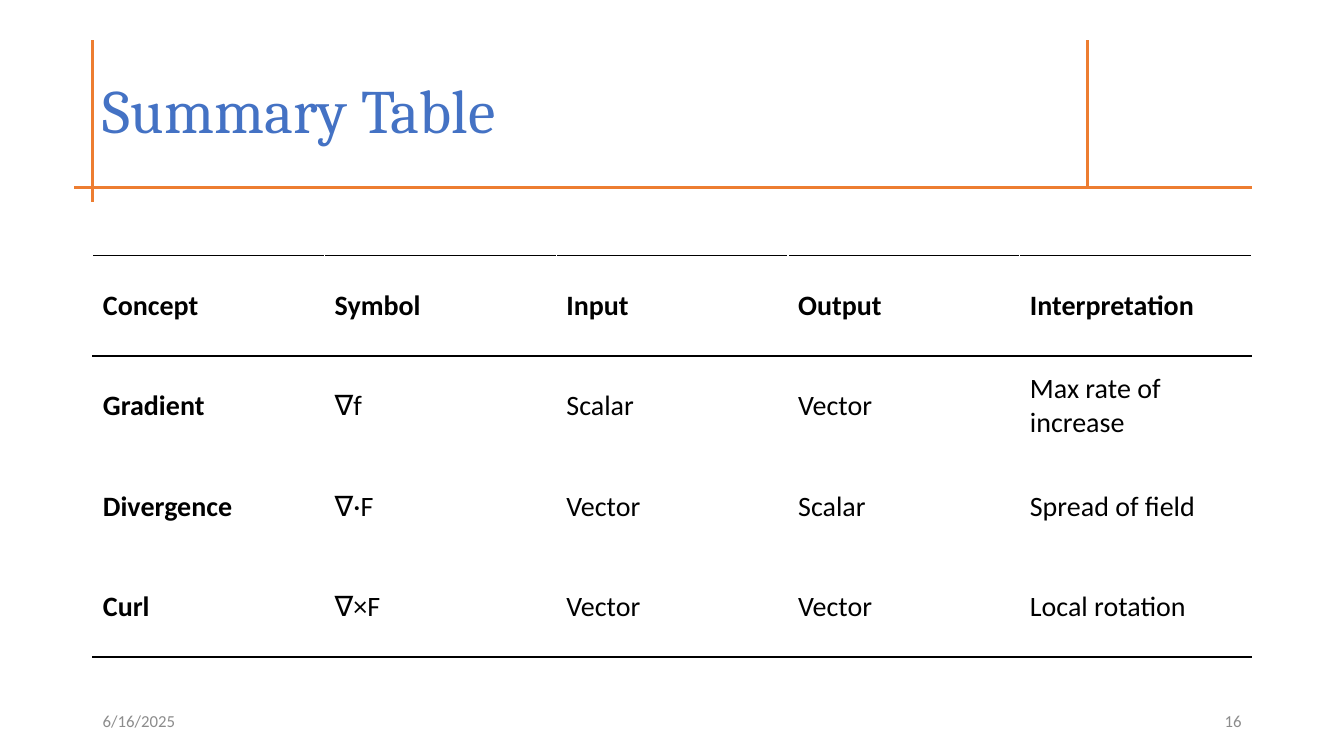
import pptx
import pptx.util
import pptx.dml.color
import pptx.enum.shapes
import pptx.enum.text
import pptx.oxml
import pptx.oxml.ns
from lxml import etree

Cm = pptx.util.Cm
Pt = pptx.util.Pt
ALIGN = pptx.enum.text.PP_ALIGN
MIDDLE = pptx.enum.text.MSO_ANCHOR.MIDDLE

COLORS = {"rule": "ED7D31", "title": "4472C4", "text": "000000", "footer": "8C8C8C"}
LEFT, WIDTH = 2.34, 29.2
SUMMARY = [
    ["Concept", "Symbol", "Input", "Output", "Interpretation"],
    ["Gradient", "∇f", "Scalar", "Vector", "Max rate of increase"],
    ["Divergence", "∇·F", "Vector", "Scalar", "Spread of field"],
    ["Curl", "∇×F", "Vector", "Vector", "Local rotation"],
]


def rgb(name):
    return pptx.dml.color.RGBColor.from_string(COLORS[name])


def set_font(paragraph, face, size, color, bold=False):
    paragraph.font.name = face
    paragraph.font.size = Pt(size)
    paragraph.font.bold = bold
    paragraph.font.color.rgb = rgb(color)


def add_rule(slide, x1, y1, x2, y2):
    rule = slide.shapes.add_connector(
        pptx.enum.shapes.MSO_CONNECTOR.STRAIGHT, Cm(x1), Cm(y1), Cm(x2), Cm(y2))
    rule.line.color.rgb = rgb("rule")
    rule.line.width = Pt(2.25)
    etree.SubElement(rule._element.spPr, pptx.oxml.ns.qn("a:effectLst"))


def add_heading(slide, left, top, width, height, text):
    bottom, right = top + height, left + width
    add_rule(slide, left, top, left, bottom + 0.39)
    add_rule(slide, right, bottom + 0.03, left - 0.48, bottom + 0.03)
    add_rule(slide, right - 4.14, top, right - 4.14, bottom)

    title = slide.shapes.title
    title.left, title.top, title.width, title.height = map(Cm, (left, top, width, height))
    title.text_frame.text = text
    title.text_frame.vertical_anchor = MIDDLE
    paragraph = title.text_frame.paragraphs[0]
    paragraph.alignment = ALIGN.LEFT
    paragraph.line_spacing = 0.9
    set_font(paragraph, "Cambria", 44, "title")


def set_borders(cell, edges):
    properties = cell._tc.get_or_add_tcPr()
    for position, edge in enumerate(edges):
        properties.insert(position, pptx.oxml.parse_xml(
            f'<a:ln{edge} {pptx.oxml.ns.nsdecls("a")} w="{Pt(1)}"><a:solidFill>'
            f'<a:srgbClr val="{COLORS["text"]}"/></a:solidFill></a:ln{edge}>'))


def add_summary(slide, left, top, width, height, rows):
    summary = slide.shapes.add_table(
        len(rows), len(rows[0]), Cm(left), Cm(top), Cm(width), Cm(height)).table
    summary.first_row = False
    summary.horz_banding = False
    edges = {0: "TB", 1: "T", len(rows) - 1: "B"}
    for r, row in enumerate(rows):
        for c, text in enumerate(row):
            cell = summary.cell(r, c)
            cell.text = text
            cell.vertical_anchor = MIDDLE
            cell.fill.background()
            set_font(cell.text_frame.paragraphs[0], "Calibri", 20, "text", r == 0 or c == 0)
            set_borders(cell, edges.get(r, ""))


def add_footer(slide, left, top, width, height):
    date_width, number_width = 2.62, 1.3
    for x, w, text, alignment in (
            (left, date_width, "6/16/2025", ALIGN.LEFT),
            (left + width - number_width, number_width, "16", ALIGN.RIGHT)):
        label = slide.shapes.add_textbox(Cm(x), Cm(top), Cm(w), Cm(height)).text_frame
        label.word_wrap = True
        label.vertical_anchor = MIDDLE
        label.text = text
        label.paragraphs[0].alignment = alignment
        set_font(label.paragraphs[0], "Calibri", 12, "footer")


def main():
    deck = pptx.Presentation()
    deck.slide_width, deck.slide_height = Cm(33.87), Cm(19.05)
    slide = deck.slides.add_slide(deck.slide_layouts[5])
    add_heading(slide, LEFT, 1.01, WIDTH, 3.68, "Summary Table")
    add_summary(slide, LEFT, 6.44, WIDTH, 10.12, SUMMARY)
    add_footer(slide, LEFT, 17.65, WIDTH, 1.02)
    deck.save("out.pptx")


if __name__ == "__main__":
    main()
